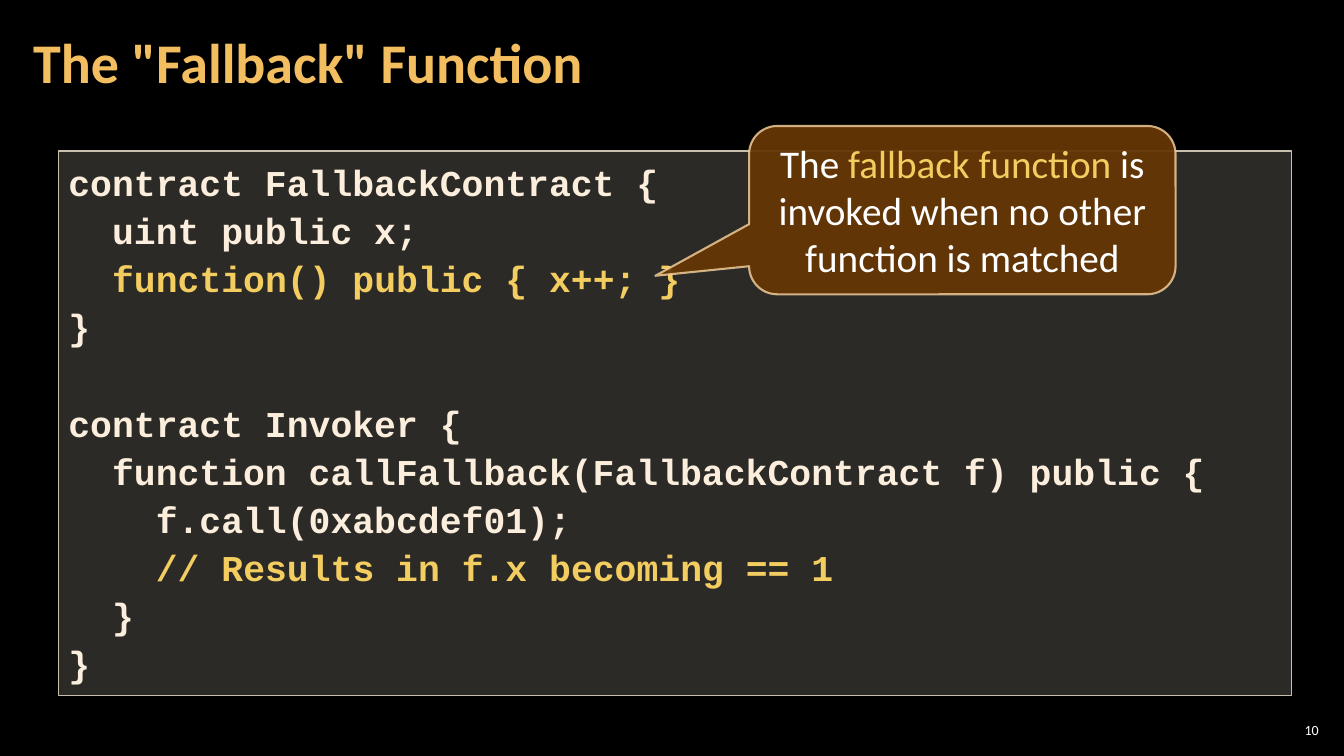
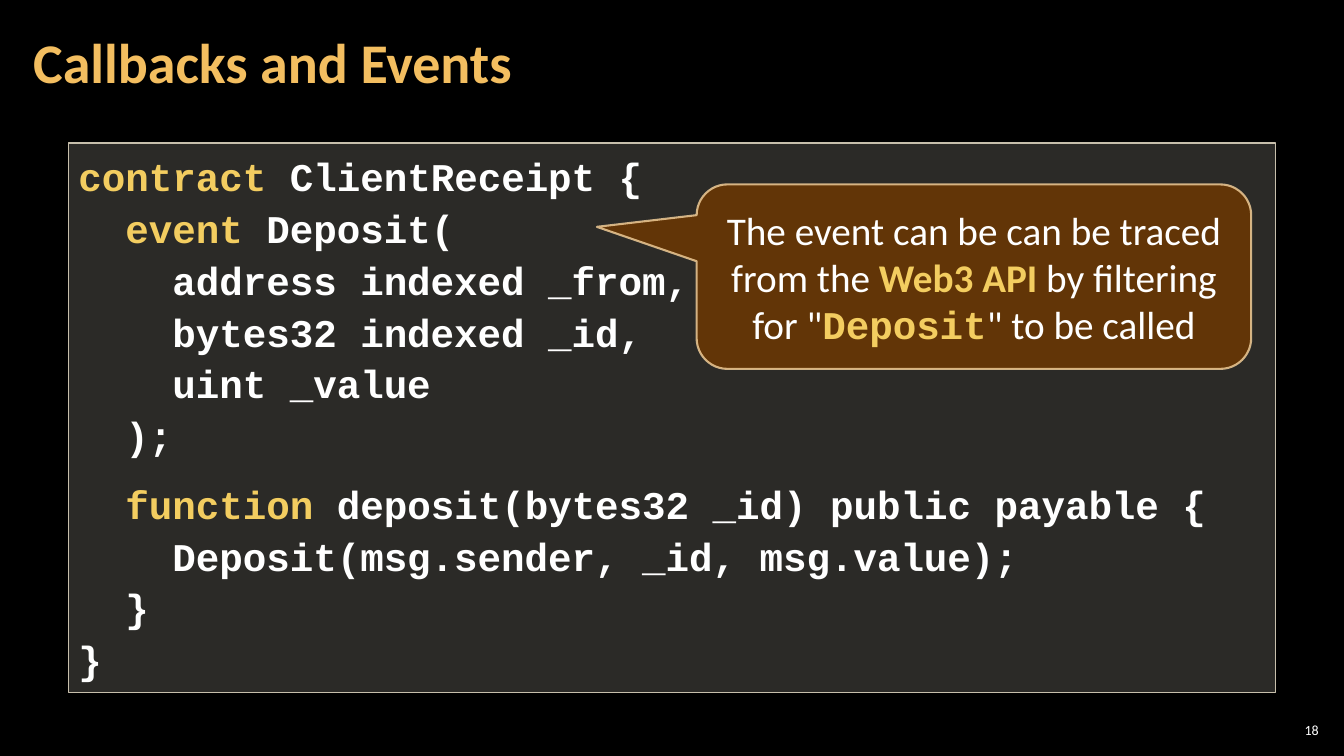
"""Build two slides that explain fallback functions and events in contract code."""

from typing import NamedTuple

from lxml.etree import SubElement
from pptx import Presentation
from pptx.dml.color import RGBColor
from pptx.enum.shapes import MSO_SHAPE
from pptx.enum.text import MSO_ANCHOR, MSO_AUTO_SIZE, PP_ALIGN
from pptx.oxml.ns import qn
from pptx.util import Inches, Pt


class TextStyle(NamedTuple):
    size: int
    color: str
    bold: bool = False
    font: str = "Calibri"


class Theme:
    background = "000000"
    accent = "F3CD60"
    panel_fill, panel_alpha = "D9D5C7", 20
    panel_line, panel_line_width = "C7BFAC", 1
    callout_fill, callout_alpha = "663606", 95
    callout_line, callout_line_alpha, callout_line_width = "F8D49E", 80, 1.5
    code_spacing, title_spacing = 1.1, 0.9
    title = TextStyle(40, "F3BE60", True)
    page_number = TextStyle(10, "FFFFFF")
    callout = TextStyle(28, "FFFFFF")
    callout_accent = callout._replace(color=accent)
    callout_strong = callout_accent._replace(bold=True)
    callout_code = callout_strong._replace(font="Courier New")
    cream_code = TextStyle(26, "FBEEDC", True, "Courier New")
    white_code = TextStyle(28, "FFFFFF", True, "Courier New")


class Deck:
    def __init__(self, theme):
        self.theme = theme
        self.presentation = Presentation()
        self.presentation.slide_width = Inches(13.33)
        self.presentation.slide_height = Inches(7.5)
        self.slide = None

    def add_slide(self, title, number):
        theme = self.theme
        self.slide = self.presentation.slides.add_slide(
            self.presentation.slide_layouts[6])
        self.paint(self.slide.background.fill, theme.background)
        self.label((12.65, 7.14, 0.47, 0.21), number, theme.page_number,
                   0.04, PP_ALIGN.RIGHT)
        self.label((0.21, 0.04, 10.47, 1.21), title, theme.title,
                   0.12, PP_ALIGN.LEFT, theme.title_spacing)

    def label(self, place, text, style, side_inset, alignment, spacing=1.0):
        frame = self.slide.shapes.add_textbox(*map(Inches, place)).text_frame
        frame.word_wrap = True
        frame.vertical_anchor = MSO_ANCHOR.MIDDLE
        frame.margin_left = frame.margin_right = Inches(side_inset)
        frame.margin_top = frame.margin_bottom = Inches(0.04)
        self.add_runs(frame.paragraphs[0], [(text, style)], alignment, spacing)

    def code_panel(self, place, lines, style, gaps):
        theme = self.theme
        panel = self.box(MSO_SHAPE.RECTANGLE, place,
                         (theme.panel_fill, theme.panel_alpha),
                         (theme.panel_line, 100, theme.panel_line_width))
        frame = panel.text_frame
        frame.vertical_anchor = MSO_ANCHOR.TOP
        frame.auto_size = MSO_AUTO_SIZE.SHAPE_TO_FIT_TEXT
        highlight = style._replace(color=theme.accent)
        for index, (before, accented, after) in enumerate(lines):
            paragraph = frame.add_paragraph() if index else frame.paragraphs[0]
            runs = [(before, style), (accented, highlight), (after, style)]
            self.add_runs(paragraph, runs, PP_ALIGN.LEFT, theme.code_spacing)
            if index in gaps:
                paragraph.space_before = Pt(gaps[index])

    def callout(self, place, pointer, runs, side_inset=0.1):
        theme = self.theme
        bubble = self.box(MSO_SHAPE.ROUNDED_RECTANGULAR_CALLOUT, place,
                          (theme.callout_fill, theme.callout_alpha),
                          (theme.callout_line, theme.callout_line_alpha,
                           theme.callout_line_width))
        bubble.adjustments[0], bubble.adjustments[1] = pointer
        frame = bubble.text_frame
        frame.vertical_anchor = MSO_ANCHOR.MIDDLE
        frame.margin_left = frame.margin_right = Inches(side_inset)
        self.add_runs(frame.paragraphs[0], runs, PP_ALIGN.CENTER)

    def box(self, preset, place, fill, line):
        shape = self.slide.shapes.add_shape(preset, *map(Inches, place))
        shape.shadow.inherit = False
        shape.text_frame.word_wrap = True
        fill_color, fill_alpha = fill
        line_color, line_alpha, line_width = line
        shape.line.width = Pt(line_width)
        self.paint(shape.fill, fill_color)
        self.paint(shape.line.fill, line_color)
        properties = shape._element.spPr
        self.set_alpha(properties, "a:solidFill/a:srgbClr", fill_alpha)
        self.set_alpha(properties, "a:ln/a:solidFill/a:srgbClr", line_alpha)
        return shape

    @staticmethod
    def paint(fill, color):
        fill.solid()
        fill.fore_color.rgb = RGBColor.from_string(color)

    @staticmethod
    def set_alpha(properties, query, percent):
        if percent < 100:
            color = properties.xpath(query)[0]
            SubElement(color, qn("a:alpha")).set("val", str(percent * 1000))

    @staticmethod
    def add_runs(paragraph, runs, alignment, spacing=1.0):
        paragraph.alignment = alignment
        paragraph.line_spacing = spacing
        for text, style in runs:
            if text:
                run = paragraph.add_run()
                run.text = text
                run.font.size = Pt(style.size)
                run.font.name = style.font
                run.font.bold = style.bold
                run.font.color.rgb = RGBColor.from_string(style.color)


FALLBACK_CODE = [
    ("contract FallbackContract {", "", ""),
    ("  uint public x;", "", ""),
    ("  ", "function() public { x++; }", ""),
    ("}", "", ""),
    ("contract Invoker {", "", ""),
    ("  function callFallback(FallbackContract f) public {", "", ""),
    ("    f.call(0xabcdef01);", "", ""),
    ("    ", "// Results in f.x becoming == 1", ""),
    ("  }", "", ""),
    ("}", "", ""),
]

EVENT_CODE = [
    ("", "contract", " ClientReceipt {"),
    ("  ", "event", " Deposit("),
    ("    address indexed _from,", "", ""),
    ("    bytes32 indexed _id,", "", ""),
    ("    uint _value", "", ""),
    ("  );", "", ""),
    ("  ", "function", " deposit(bytes32 _id) public payable {"),
    ("    Deposit(msg.sender, _id, msg.value);", "", ""),
    ("  }", "", ""),
    ("}", "", ""),
]


def main():
    theme = Theme()
    deck = Deck(theme)

    deck.add_slide('The "Fallback" Function', "10")
    deck.code_panel((0.58, 1.5, 12.23, 5.4), FALLBACK_CODE,
                    theme.cream_code, {4: 34.4})
    deck.callout((7.43, 1.25, 4.23, 1.67), (-0.72, 0.39), [
        ("The ", theme.callout),
        ("fallback function ", theme.callout_accent),
        ("is invoked when no other function is matched", theme.callout),
    ])

    deck.add_slide("Callbacks and Events", "18")
    deck.code_panel((0.68, 1.42, 11.97, 5.45), EVENT_CODE,
                    theme.white_code, {6: 12})
    deck.callout((6.91, 1.83, 5.5, 1.83), (-0.68, -0.27), [
        ("The event can be can be traced from the ", theme.callout),
        ("Web3 API ", theme.callout_strong),
        ('by filtering for "', theme.callout),
        ("Deposit", theme.callout_code),
        ('" to be called', theme.callout),
    ], side_inset=0.16)

    deck.presentation.save("out.pptx")


if __name__ == "__main__":
    main()
